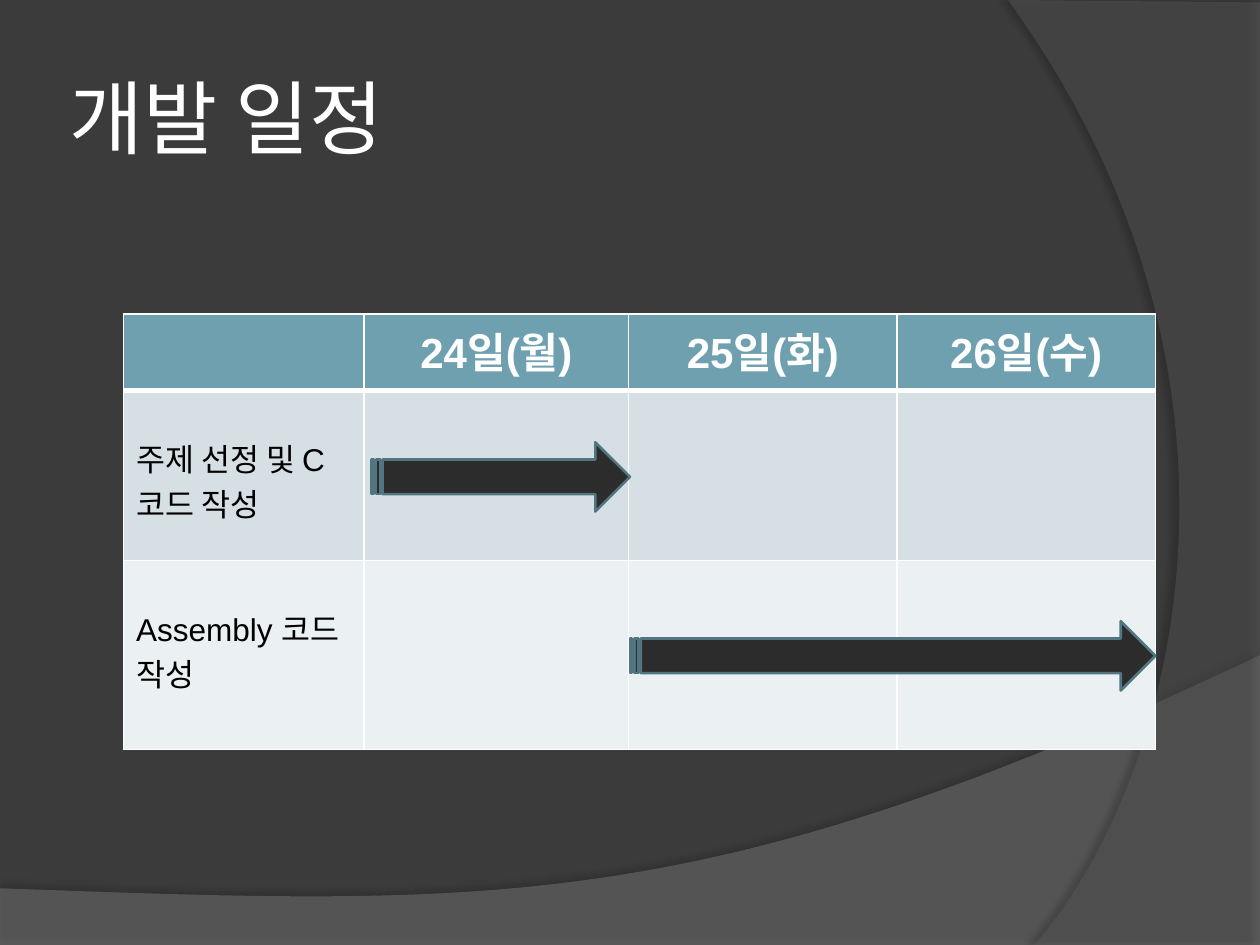
from lxml import etree
from pptx import Presentation
from pptx.dml.color import RGBColor
from pptx.enum.shapes import MSO_SHAPE
from pptx.enum.text import MSO_ANCHOR, PP_ALIGN
from pptx.oxml.ns import qn
from pptx.util import Inches, Pt

ARROW = MSO_SHAPE.STRIPED_RIGHT_ARROW
LEFT, CENTER = PP_ALIGN.LEFT, PP_ALIGN.CENTER
MIDDLE, TOP = MSO_ANCHOR.MIDDLE, MSO_ANCHOR.TOP
TITLE_ONLY = 5
FONT = "Arial"

COLUMN_WIDTHS = [1.91, 2.1, 2.13, 2.05]
ROW_HEIGHTS = [0.61, 1.35, 1.5]
ROW_FILLS = ["6EA0B0", "D5DFE4", "EBF0F2"]
SCHEDULE = [
    ["", "24일(월)", "25일(화)", "26일(수)"],
    ["주제 선정 및 C코드 작성", "", "", ""],
    ["Assembly 코드 작성", "", "", ""],
]


def color(value):
    return RGBColor.from_string(value)


def paint(target, value):
    target.fill.solid()
    target.fill.fore_color.rgb = color(value)


def add_child(parent, tag, **attributes):
    child = etree.SubElement(parent, qn(tag))
    for name, value in attributes.items():
        child.set(name, str(value))
    return child


def write(frame, text, size=18, fill="000000", bold=False, align=LEFT):
    para = frame.paragraphs[0]
    para.alignment = align
    span = para.add_run()
    span.text = text
    span.font.name = FONT
    span.font.size = Pt(size)
    span.font.bold = bold
    span.font.color.rgb = color(fill)


def curve(start, control1, control2, end, steps=60):
    """Points along a cubic curve, without its start."""
    points = []
    for step in range(1, steps + 1):
        t = step / steps
        weights = [(1 - t) ** 3, 3 * t * (1 - t) ** 2, 3 * t * t * (1 - t), t ** 3]
        anchors = (start, control1, control2, end)
        points.append(tuple(sum(w * a[axis] for w, a in zip(weights, anchors))
                            for axis in (0, 1)))
    return points


def add_wave(page, points, fill, opacity, shadow_opacity, distance, direction):
    corners = [(Inches(x), Inches(y)) for x, y in points]
    builder = page.shapes.build_freeform(*corners[0])
    builder.add_line_segments(corners[1:], close=True)
    wave = builder.convert_to_shape()
    paint(wave, fill)
    wave.line.fill.background()
    properties = wave.element.spPr
    add_child(properties.find(".//" + qn("a:srgbClr")), "a:alpha", val=opacity * 1000)
    shadow = add_child(add_child(properties, "a:effectLst"), "a:outerShdw",
                       blurRad=Pt(4), dist=Pt(distance), dir=direction * 60000,
                       algn="ctr", rotWithShape=0)
    shade = add_child(shadow, "a:srgbClr", val="000000")
    add_child(shade, "a:alpha", val=shadow_opacity * 1000)


def add_title(page, text):
    title = page.shapes.title
    title.element.getparent().append(title.element)  # in front of the waves
    title.left, title.top = Inches(0.5), Inches(0.3)
    title.width, title.height = Inches(8.17), Inches(1.25)
    frame = title.text_frame
    frame.vertical_anchor = MIDDLE
    frame.margin_left = frame.margin_right = Inches(0.05)
    frame.margin_top = frame.margin_bottom = Inches(0.05)
    write(frame, text, size=46, fill="FFFFFF")


def set_borders(cell, bottom=1):
    properties = cell._tc.get_or_add_tcPr()
    widths = {"a:lnL": 1, "a:lnR": 1, "a:lnT": 1, "a:lnB": bottom}
    for position, (tag, width) in enumerate(widths.items()):
        line = add_child(properties, tag, w=Pt(width))
        add_child(add_child(line, "a:solidFill"), "a:srgbClr", val="FFFFFF")
        properties.insert(position, line)  # borders come before the fill


def add_schedule(page, left, top):
    table = page.shapes.add_table(
        len(ROW_HEIGHTS), len(COLUMN_WIDTHS), Inches(left), Inches(top),
        Inches(sum(COLUMN_WIDTHS)), Inches(sum(ROW_HEIGHTS))).table
    for column, width in zip(table.columns, COLUMN_WIDTHS):
        column.width = Inches(width)
    for index, texts in enumerate(SCHEDULE):
        header = index == 0
        table.rows[index].height = Inches(ROW_HEIGHTS[index])
        for cell, text in zip(table.rows[index].cells, texts):
            paint(cell, ROW_FILLS[index])
            set_borders(cell, bottom=3 if header else 1)
            cell.vertical_anchor = TOP
            if header and text:
                write(cell.text_frame, text, size=24, fill="FFFFFF",
                      bold=True, align=CENTER)
            elif text:
                cell.margin_top = Inches(0.35)
                write(cell.text_frame, text)


def add_arrow(page, left, top, width):
    arrow = page.shapes.add_shape(ARROW, Inches(left), Inches(top),
                                  Inches(width), Inches(0.55))
    arrow.shadow.inherit = False
    paint(arrow, "2C2C2C")
    arrow.line.color.rgb = color("517682")
    arrow.line.width = Pt(1.5)


def main():
    deck = Presentation()
    deck.slide_width, deck.slide_height = Inches(10), Inches(7.5)
    page = deck.slides.add_slide(deck.slide_layouts[TITLE_ONLY])
    paint(page.background, "3B3B3B")

    # Background waves
    bottom_wave = [(0, 7.05), (0, 7.51), (10, 7.51), (10, 5.2)]
    bottom_wave += curve((10, 5.2), (5.59, 7.29), (3.91, 7.19), (0, 7.05))
    add_wave(page, bottom_wave, "7F7F7F", 45, 35, 3.5, 270)
    right_wave = [(10, 0.02), (10, 7.5), (8.21, 7.5)]
    right_wave += curve((8.21, 7.5), (9.35, 6.19), (10.18, 3), (8, 0))
    add_wave(page, right_wave, "5E5E5E", 40, 45, 4, 180)

    # Title and schedule
    add_title(page, "개발 일정")
    add_schedule(page, 0.98, 2.49)

    # Time spans of the two tasks
    add_arrow(page, 2.95, 3.51, 2.05)
    add_arrow(page, 5, 4.93, 4.17)

    deck.save("out.pptx")


if __name__ == "__main__":
    main()
